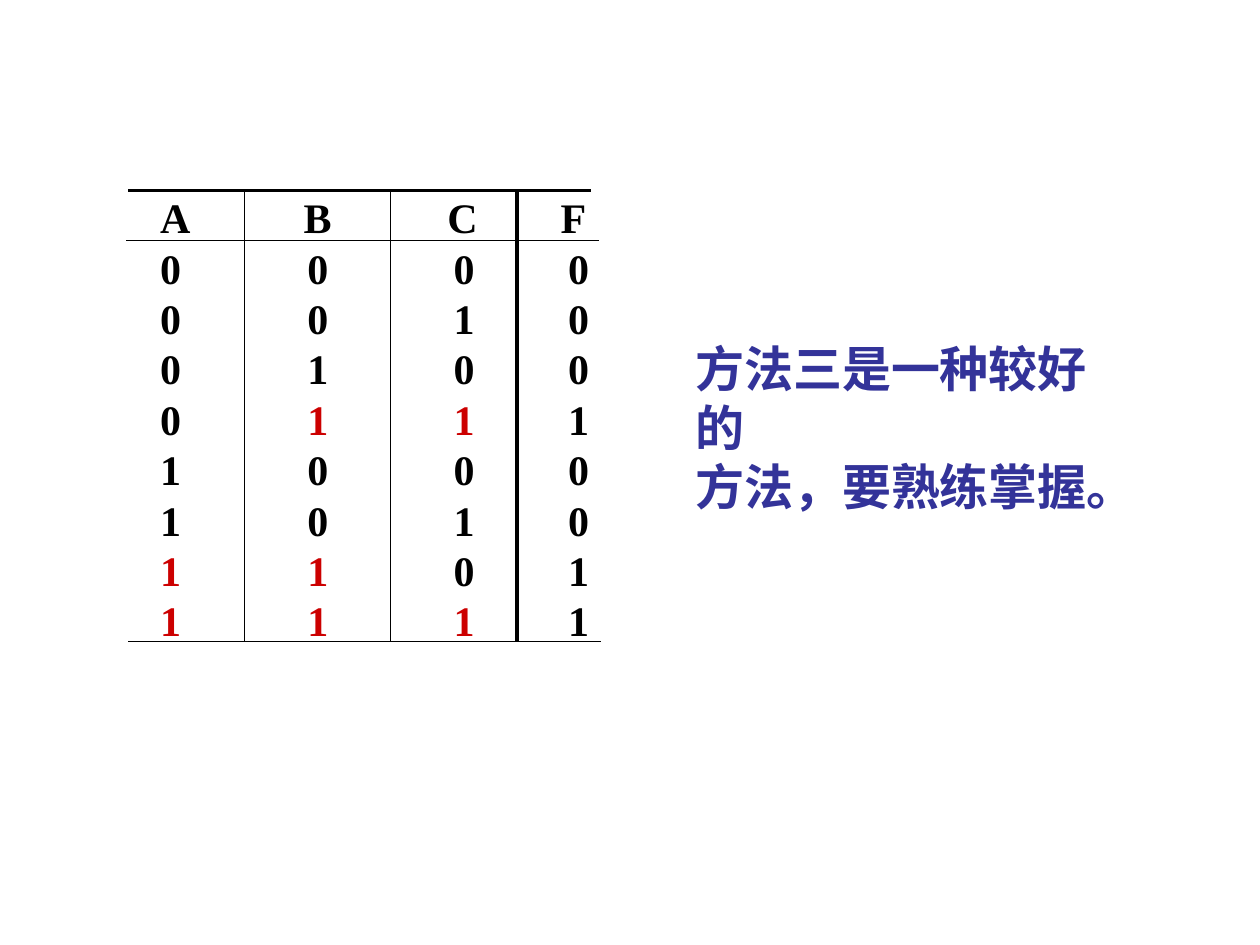
from itertools import product

from lxml.etree import SubElement
from pptx import Presentation
from pptx.dml.color import RGBColor
from pptx.enum.shapes import MSO_CONNECTOR
from pptx.enum.text import MSO_ANCHOR, MSO_AUTO_SIZE
from pptx.oxml.ns import qn
from pptx.util import Inches, Pt

BLACK = RGBColor(0x00, 0x00, 0x00)
RED = RGBColor(0xCC, 0x00, 0x00)
INDIGO = RGBColor(0x33, 0x33, 0x99)

GRID_COLUMNS, GRID_ROWS = 100, 75
BLANK_LAYOUT = 6


class SlideBuilder:
    """Holds the style and the current slide; lengths are grid units."""

    font_name = "Times New Roman"

    def __init__(self, presentation):
        self.slide = presentation.slides.add_slide(
            presentation.slide_layouts[BLANK_LAYOUT])
        self.column = presentation.slide_width / GRID_COLUMNS
        self.row = presentation.slide_height / GRID_ROWS

    def place(self, x, y):
        return round(x * self.column), round(y * self.row)

    def format(self, paragraph, size, color):
        font = paragraph.font
        font.name, font.size, font.bold = self.font_name, Pt(size), True
        font.color.rgb = color

    def note(self, left, top, width, height, lines, size, color):
        frame = self.slide.shapes.add_textbox(
            *self.place(left, top), *self.place(width, height)).text_frame
        frame.word_wrap = False
        frame.auto_size = MSO_AUTO_SIZE.SHAPE_TO_FIT_TEXT
        frame.text = "\n".join(lines)
        for paragraph in frame.paragraphs:
            self.format(paragraph, size, color)

    def rule(self, start, end, weight):
        connector = self.slide.shapes.add_connector(
            MSO_CONNECTOR.STRAIGHT, *self.place(*start), *self.place(*end))
        connector.line.color.rgb = BLACK
        connector.line.width = Pt(weight)
        SubElement(connector._element.spPr, qn("a:effectLst"))

    def table(self, left, top, widths, row_height, rows, insets, size):
        """Rows hold (text, color) pairs; insets(row) gives left margins."""
        table = self.slide.shapes.add_table(
            len(rows), len(widths), *self.place(left, top),
            *self.place(sum(widths), row_height * len(rows))).table
        table.first_row = table.horz_banding = False
        for column, width in zip(table.columns, widths):
            column.width = round(width * self.column)
        for r, entries in enumerate(rows):
            table.rows[r].height = round(row_height * self.row)
            for c, (text, color) in enumerate(entries):
                cell = table.cell(r, c)
                cell.margin_left = round(insets(r)[c] * self.column)
                cell.margin_right = cell.margin_top = cell.margin_bottom = 0
                cell.vertical_anchor = MSO_ANCHOR.BOTTOM
                cell.text = text
                self.format(cell.text_frame.paragraphs[0], size, color)
                cell.fill.background()


def truth_table_rows():
    """F = AB + BC; the ones that make F true are red."""
    rows = [[(name, BLACK) for name in "ABCF"]]
    for a, b, c in product((0, 1), repeat=3):
        f = b & (a | c)
        inputs = [(str(bit), RED if f and bit else BLACK) for bit in (a, b, c)]
        rows.append(inputs + [(str(f), BLACK)])
    return rows


def main():
    presentation = Presentation()
    presentation.slide_width = Inches(10)
    presentation.slide_height = Inches(7.5)
    builder = SlideBuilder(presentation)

    # Truth table values
    header_insets = (2.5, 4.7, 4.5, 3.5)
    digit_insets = (2.5, 5, 5, 4.1)
    builder.table(10.2, 15.27, (9.2, 11.6, 10, 6.5), 4, truth_table_rows(),
                  lambda row: digit_insets if row else header_insets, 24)

    # Horizontal rules, each with its own overhang
    top, header_bottom, bottom = 15.1, 19.1, 50.9
    for left, right, y, weight in ((10.2, 46.9, top, 1.5),
                                   (10, 47.5, header_bottom, 0.75),
                                   (10.2, 47.7, bottom, 0.75)):
        builder.rule((left, y), (right, y), weight)

    # Column rules, heavy before the output
    for x, weight in ((19.4, 0.75), (31, 0.75), (41, 2.25)):
        builder.rule((x, top), (x, bottom), weight)

    # Advice beside the table
    builder.note(54.2, 26.4, 36.9, 10.4,
                 ("方法三是一种较好的", "方法，要熟练掌握。"), 28, INDIGO)

    presentation.save("out.pptx")


if __name__ == "__main__":
    main()
